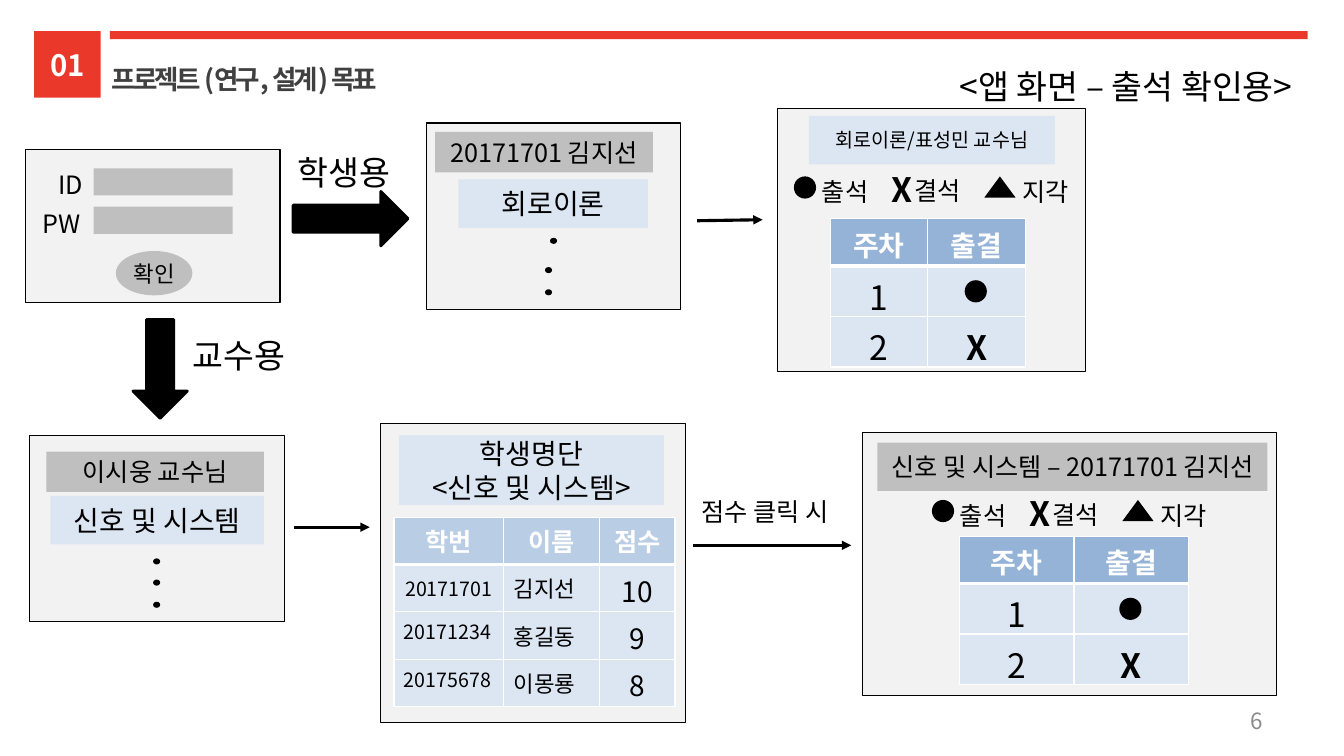
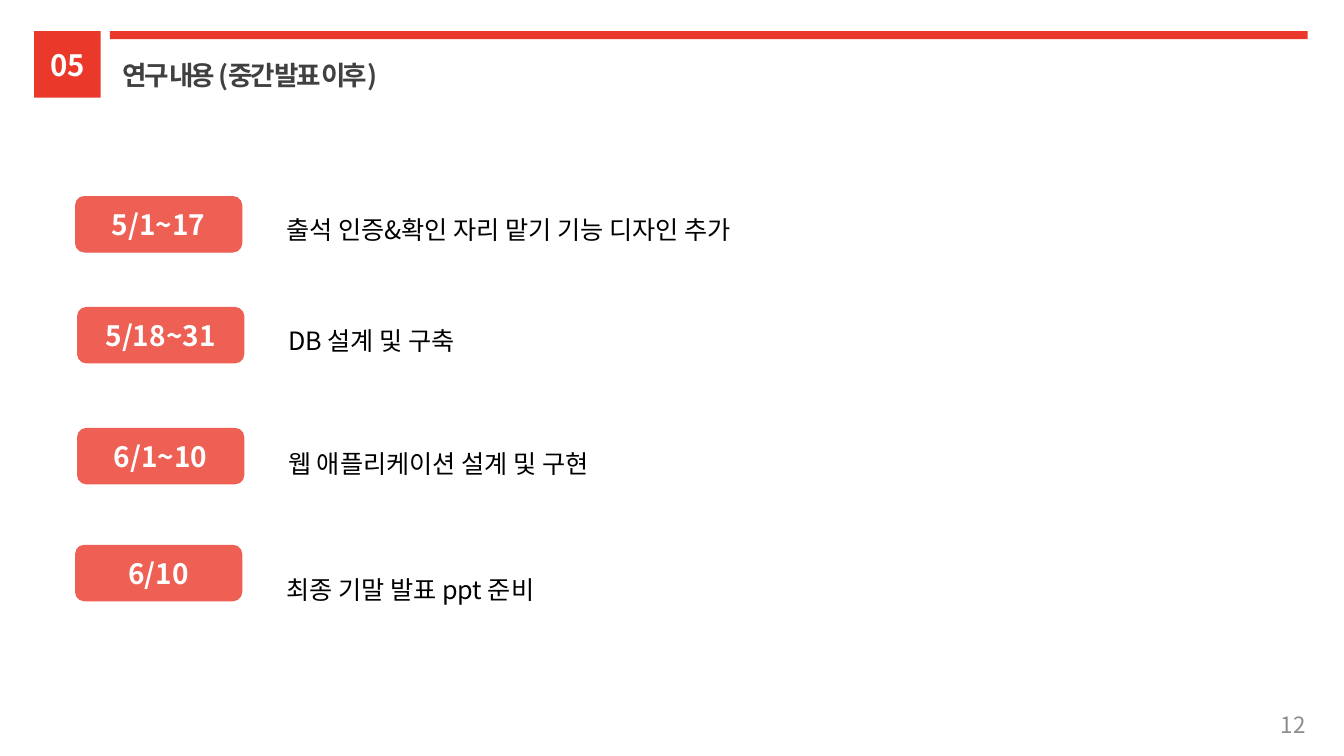
from lxml.etree import SubElement
from pptx import Presentation
from pptx.dml.color import RGBColor
from pptx.enum.shapes import MSO_CONNECTOR, MSO_SHAPE as SHAPE
from pptx.enum.text import MSO_ANCHOR as ANCHOR, MSO_AUTO_SIZE as AUTO, PP_ALIGN as ALIGN
from pptx.oxml.ns import qn
from pptx.util import Inches, Pt

FONT = "Noto Sans CJK KR"
RED = RGBColor(0xEA, 0x38, 0x2A)
CORAL = RGBColor(0xEE, 0x5F, 0x54)
WHITE = RGBColor(0xFF, 0xFF, 0xFF)
BLACK = RGBColor(0, 0, 0)
TITLE_GRAY = RGBColor(0x40, 0x40, 0x40)
PAGE_GRAY = RGBColor(0x8C, 0x8C, 0x8C)
PANEL_GRAY = RGBColor(0xF2, 0xF2, 0xF2)
BAR_GRAY = RGBColor(0xBF, 0xBF, 0xBF)
PALE_BLUE = RGBColor(0xDC, 0xE6, 0xF2)
MID_BLUE = RGBColor(0xB9, 0xCD, 0xE5)
HEAD_BLUE = RGBColor(0x95, 0xB3, 0xD7)

NARROW = (0.1, 0.05)
WIDE = (0.13, 0.07)
TIGHT = (0, 0)


class Deck:
    def __init__(self):
        self.presentation = Presentation()
        self.presentation.slide_width = Inches(13.34)
        self.presentation.slide_height = Inches(7.5)
        self.slide = None

    def set_text(self, frame, text, size, color=BLACK, bold=False, align=ALIGN.LEFT,
                 line_spacing=None, tracking=None):
        frame.text = text
        for paragraph in frame.paragraphs:
            paragraph.alignment = align
            if line_spacing:
                paragraph.line_spacing = line_spacing
            font = paragraph.font
            font.name, font.size, font.bold = FONT, Pt(size), bold
            font.color.rgb = color
            properties = paragraph._p.pPr.find(qn("a:defRPr"))
            SubElement(properties, qn("a:ea")).set("typeface", FONT)
            if tracking:
                properties.set("spc", str(tracking * 100))

    def set_insets(self, frame, insets):
        frame.margin_left = frame.margin_right = Inches(insets[0])
        frame.margin_top = frame.margin_bottom = Inches(insets[1])

    def shape(self, left, top, width, height, fill, kind=SHAPE.RECTANGLE, line=None,
              line_width=0.75, text=None, size=20, color=BLACK, bold=False, insets=NARROW):
        shape = self.slide.shapes.add_shape(
            kind, Inches(left), Inches(top), Inches(width), Inches(height))
        shape.shadow.inherit = False
        shape.fill.solid()
        shape.fill.fore_color.rgb = fill
        if line is None:
            shape.line.fill.background()
        else:
            shape.line.color.rgb = line
            shape.line.width = Pt(line_width)
        if text:
            frame = shape.text_frame
            frame.word_wrap = True
            frame.vertical_anchor = ANCHOR.MIDDLE
            self.set_insets(frame, insets)
            self.set_text(frame, text, size, color, bold, ALIGN.CENTER)
        return shape

    def text(self, left, top, width, height, text, size=18, wrap=False, insets=NARROW,
             anchor=ANCHOR.TOP, grow=True, **style):
        box = self.slide.shapes.add_textbox(
            Inches(left), Inches(top), Inches(width), Inches(height))
        frame = box.text_frame
        frame.word_wrap = wrap
        frame.auto_size = AUTO.SHAPE_TO_FIT_TEXT if grow else AUTO.NONE
        frame.vertical_anchor = anchor
        self.set_insets(frame, insets)
        self.set_text(frame, text, size, **style)

    def new_slide(self, number, title, title_left, title_top, page, page_left, page_top):
        self.slide = self.presentation.slides.add_slide(self.presentation.slide_layouts[6])
        self.shape(0.34, 0.31, 0.66, 0.66, RED, text=number, size=21, color=WHITE,
                   bold=True, insets=TIGHT)
        self.shape(1.09, 0.31, 11.89, 0.08, RED)
        self.text(title_left, title_top, 6.05, 0.45, title, 19, wrap=True, insets=WIDE,
                  color=TITLE_GRAY, bold=True, tracking=-2)
        self.text(page_left, page_top, 3.11, 0.4, page, 16, wrap=True, insets=WIDE,
                  anchor=ANCHOR.MIDDLE, grow=False, color=PAGE_GRAY, align=ALIGN.RIGHT)

    def panel(self, left, top, width, height):
        self.shape(left, top, width, height, PANEL_GRAY, line=BLACK)

    def gray_bar(self, left, top, width, height, text=None):
        self.shape(left, top, width, height, BAR_GRAY, text=text, size=18, insets=TIGHT)

    def blue_bar(self, left, top, width, height, text, size=20):
        self.shape(left, top, width, height, PALE_BLUE, text=text, size=size)

    def dot(self, left, top, width=0.22, height=0.22):
        self.shape(left, top, width, height, BLACK, SHAPE.OVAL)

    def ellipsis(self, *points):
        for left, top in points:
            self.dot(left, top, 0.07, 0.06)

    def block_arrow(self, left, top, width, rotation=0):
        arrow = self.shape(left, top, width, 0.54, BLACK, SHAPE.RIGHT_ARROW, BLACK, 2)
        arrow.rotation = rotation

    def arrow(self, left, top, right, bottom):
        connector = self.slide.shapes.add_connector(
            MSO_CONNECTOR.STRAIGHT, Inches(left), Inches(top), Inches(right), Inches(bottom))
        connector.line.color.rgb = BLACK
        connector.line.width = Pt(2.25)
        properties = connector._element.spPr
        SubElement(properties.find(qn("a:ln")), qn("a:tailEnd")).set("type", "triangle")
        SubElement(properties, qn("a:effectLst"))

    def set_borders(self, cell, row):
        properties = cell._tc.get_or_add_tcPr()
        widths = {"L": 1, "R": 1, "T": 3 if row == 1 else 1, "B": 3 if row == 0 else 1}
        for side, width in widths.items():
            line = SubElement(properties, qn(f"a:ln{side}"), w=str(Pt(width)))
            fill = SubElement(line, qn("a:solidFill"))
            SubElement(fill, qn("a:srgbClr")).set("val", str(WHITE))

    def table(self, left, top, column_widths, rows, head_fill, head_size, sizes,
              left_cells=(), middle_cells=()):
        table = self.slide.shapes.add_table(
            len(rows), len(column_widths), Inches(left), Inches(top),
            Inches(sum(column_widths)), Inches(0.47 * len(rows))).table
        for column, width in zip(table.columns, column_widths):
            column.width = Inches(width)
        for row, values in enumerate(rows):
            table.rows[row].height = Inches(0.47)
            for column, value in enumerate(values):
                cell = table.cell(row, column)
                head = row == 0
                self.set_borders(cell, row)
                cell.fill.solid()
                cell.fill.fore_color.rgb = head_fill if head else PALE_BLUE
                if (row, column) in middle_cells:
                    cell.vertical_anchor = ANCHOR.MIDDLE
                if value:
                    self.set_text(cell.text_frame, value, head_size if head else sizes[column],
                                  WHITE if head else BLACK, head or value == "X",
                                  ALIGN.LEFT if (row, column) in left_cells else ALIGN.CENTER)

    def attendance(self, left, top, column_width):
        rows = [("주차", "출결"), ("1", ""), ("2", "X")]
        self.table(left, top, [column_width] * 2, rows, HEAD_BLUE, 20, [24, 24])
        self.dot(left + 1.5 * column_width - 0.12, top + 0.61)

    def legend(self, left, top):
        self.dot(left, top)
        self.text(left + 0.18, top - 0.05, 0.69, 0.4, "출석")
        self.text(left + 0.86, top - 0.12, 0.42, 0.5, "X", 24, bold=True, align=ALIGN.CENTER)
        self.text(left + 1.1, top - 0.06, 0.69, 0.4, "결석")
        self.shape(left + 1.89, top, 0.31, 0.21, BLACK, SHAPE.ISOSCELES_TRIANGLE)
        self.text(left + 2.17, top - 0.05, 0.69, 0.4, "지각")

    def schedule_row(self, left, top, period, task_top, task):
        pill = self.shape(left, top, 1.65, 0.55, CORAL, SHAPE.ROUNDED_RECTANGLE, CORAL,
                          text=period, color=WHITE, bold=True, insets=WIDE)
        pill.adjustments[0] = 0.16
        self.text(left + 1.96, task_top, 9, 0.74, task, wrap=True, insets=WIDE, line_spacing=2)


def build_app_flow(deck):
    deck.new_slide("01", "프로젝트 (연구, 설계) 목표", 0.98, 0.55, "6", 9.56, 6.95)
    deck.text(9.43, 0.6, 3.64, 0.5, "<앱 화면 – 출석 확인용>", 24)

    deck.panel(0.25, 1.48, 2.53, 1.52)
    deck.text(0.48, 1.63, 0.45, 0.4, "ID")
    deck.text(0.32, 2.02, 0.64, 0.4, "PW")
    for top in (1.67, 2.05):
        deck.gray_bar(0.93, top, 1.38, 0.27)
    deck.shape(1.15, 2.49, 0.76, 0.44, BAR_GRAY, SHAPE.OVAL, text="확인", size=16, insets=TIGHT)

    deck.block_arrow(2.91, 1.9, 1.14)
    deck.text(2.81, 1.46, 1.21, 0.5, "학생용", 24, align=ALIGN.CENTER)
    deck.block_arrow(1.1, 3.39, 0.98, 90)
    deck.text(1.79, 3.27, 1.17, 0.5, "교수용", 24, align=ALIGN.CENTER)

    deck.panel(4.23, 1.22, 2.53, 1.85)
    deck.gray_bar(4.32, 1.31, 2.16, 0.4, "20171701 김지선")
    deck.blue_bar(4.55, 1.78, 1.88, 0.48, "회로이론")
    deck.ellipsis((5.46, 2.36), (5.41, 2.65), (5.41, 2.87))
    deck.arrow(6.92, 2.19, 7.57, 2.18)

    deck.panel(7.72, 1.08, 3.05, 2.61)
    deck.blue_bar(8.03, 1.15, 2.44, 0.48, "회로이론/표성민 교수님", 14)
    deck.legend(7.88, 1.75)
    deck.attendance(8.24, 2.17, 0.97)

    deck.panel(0.29, 4.32, 2.53, 1.85)
    deck.gray_bar(0.46, 4.48, 2.16, 0.4, "이시웅 교수님")
    deck.blue_bar(0.5, 4.92, 2.12, 0.48, "신호 및 시스템")
    deck.ellipsis((1.52, 5.54), (1.52, 5.75), (1.52, 5.97))
    deck.arrow(2.92, 5.23, 3.67, 5.23)

    deck.panel(3.78, 4.2, 3.02, 2.97)
    deck.blue_bar(3.96, 4.32, 2.63, 0.69, "학생명단\n<신호 및 시스템>")
    students = [("학번", "이름", "점수"), ("20171701", "김지선", "10"),
                ("20171234", "홍길동", "9"), ("20175678", "이몽룡", "8")]
    names = [(row, 1) for row in (1, 2, 3)]
    deck.table(3.91, 5.13, [1.09, 0.95, 0.75], students, MID_BLUE, 18, [14, 16, 20],
               left_cells=names + [(2, 0), (3, 0)], middle_cells=names + [(1, 0), (1, 2)])
    deck.arrow(6.88, 5.41, 8.45, 5.41)
    deck.text(6.81, 4.87, 1.57, 0.4, "점수 클릭 시", align=ALIGN.CENTER)

    deck.panel(8.56, 4.29, 4.11, 2.61)
    deck.gray_bar(8.71, 4.39, 3.87, 0.48, "신호 및 시스템 – 20171701 김지선")
    deck.legend(9.25, 4.96)
    deck.attendance(9.52, 5.32, 1.14)


def build_schedule(deck):
    deck.new_slide("05", "연구 내용 (중간 발표 이후)", 1.09, 0.51, "12", 9.98, 6.99)
    for row in (
        (0.75, 1.95, "5/1~17", 1.76, "출석 인증&확인 자리 맡기 기능 디자인 추가"),
        (0.77, 3.05, "5/18~31", 2.86, "DB 설계 및 구축"),
        (0.77, 4.25, "6/1~10", 4.08, "웹 애플리케이션 설계 및 구현"),
        (0.75, 5.41, "6/10", 5.33, "최종 기말 발표 ppt 준비"),
    ):
        deck.schedule_row(*row)


def main():
    deck = Deck()
    build_app_flow(deck)
    build_schedule(deck)
    deck.presentation.save("out.pptx")


if __name__ == "__main__":
    main()
